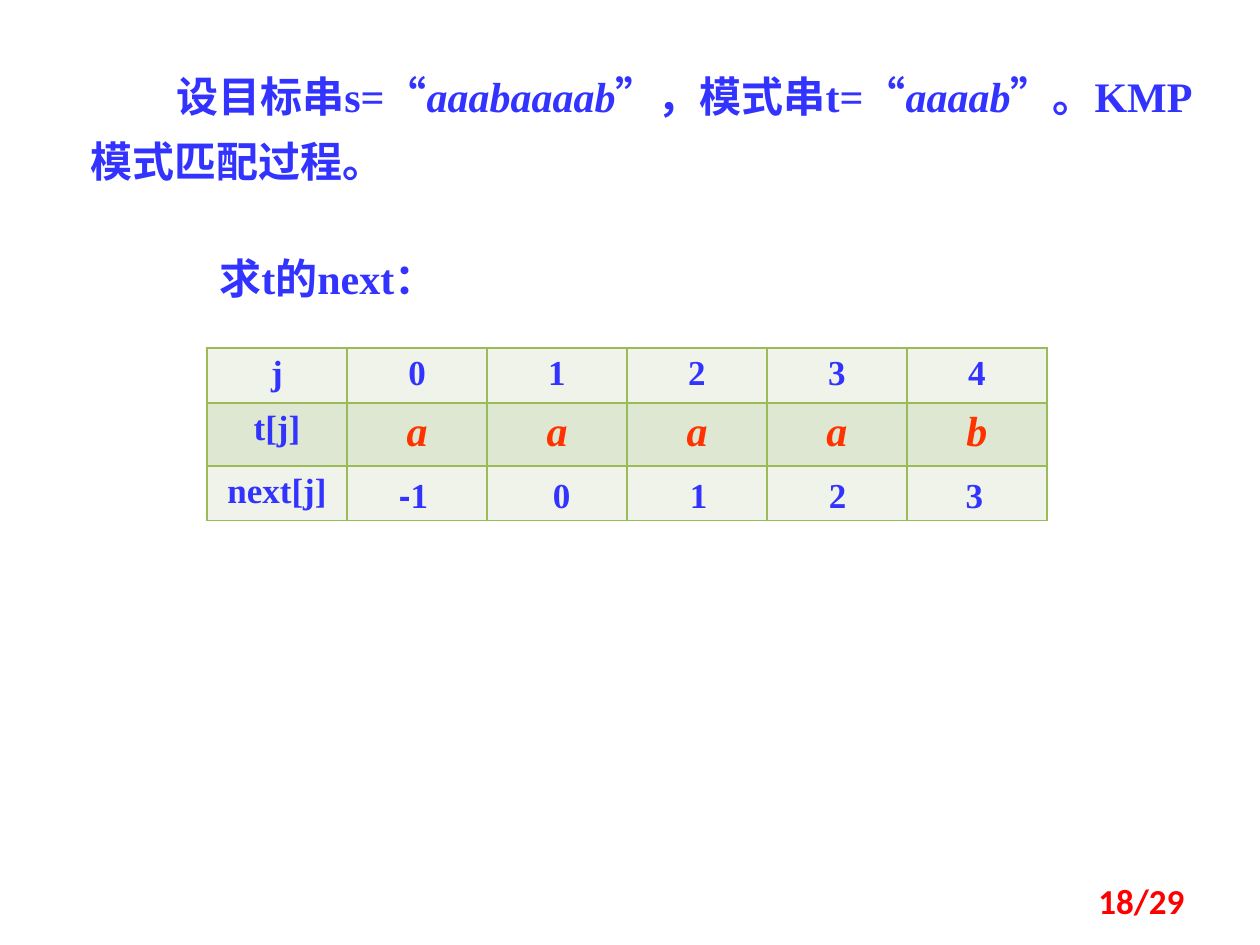
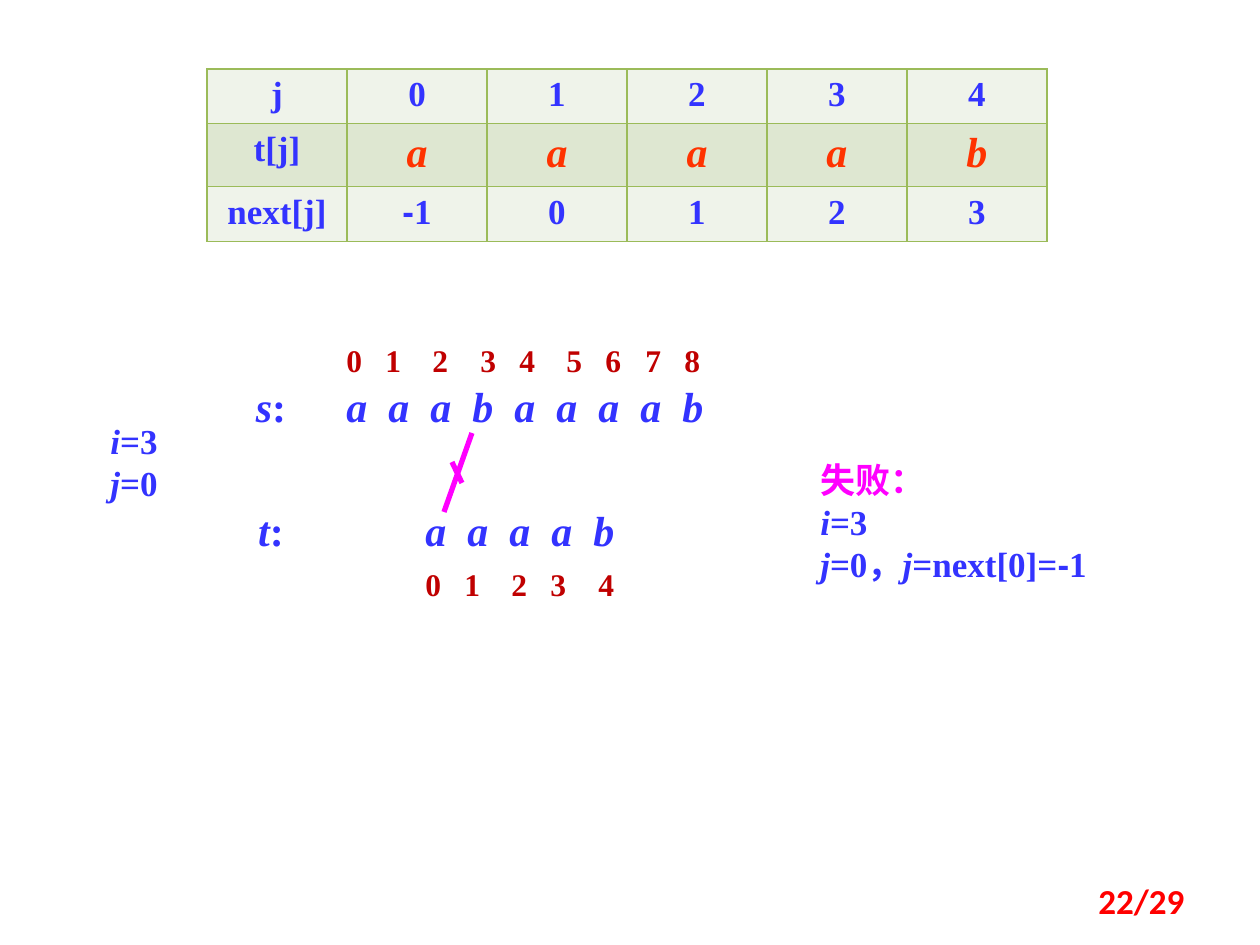
from itertools import groupby

from lxml.etree import SubElement
from pptx import Presentation
from pptx.dml.color import RGBColor
from pptx.enum.lang import MSO_LANGUAGE_ID
from pptx.enum.shapes import MSO_CONNECTOR
from pptx.enum.text import MSO_ANCHOR, PP_ALIGN
from pptx.oxml.ns import qn
from pptx.util import Emu, Pt

COLORS = {
    "blue": "3333FF", "red": "FF3300", "index": "C00000", "fail": "FF00FF",
    "page": "FF0000", "edge": "9BBB59", "light": "EFF3EA", "dark": "DEE7D1",
}
SERIF, SANS, HAN, FOOT = "Times New Roman", "Arial", "Noto Sans CJK SC", "Calibri"
LEFT, CENTER, RIGHT = PP_ALIGN.LEFT, PP_ALIGN.CENTER, PP_ALIGN.RIGHT
PAD = 13
COL = 140
PITCH = 42
PATTERN = "aaaab"
NEXT = ["-1", "0", "1", "2", "3"]


def px(count):
    return Emu(round(count * 914400 / 126))


def rgb(name):
    return RGBColor.from_string(COLORS[name])


class Deck:
    def __init__(self):
        self.prs = Presentation()
        self.prs.slide_width, self.prs.slide_height = px(1260), px(945)
        self.slide = None

    def page(self, label):
        self.slide = self.prs.slides.add_slide(self.prs.slide_layouts[6])
        frame = self.text(903, 876, 294, 50, label, 20, "page", RIGHT, font=FOOT)
        frame.vertical_anchor = MSO_ANCHOR.MIDDLE

    def style(self, par, text, size, color, align=LEFT, font=SERIF):
        """Parts between asterisks are italic; minus signs are sans serif."""
        par.alignment = align
        for place, part in enumerate(text.split("*")):
            for minus, chars in groupby(part, lambda char: char == "-"):
                run = par.add_run()
                run.text = "".join(chars)
                face = run.font
                face.size, face.bold, face.italic = Pt(size), True, place % 2 == 1
                face.name = SANS if minus else font
                face.color.rgb = rgb(color)
                face.language_id = MSO_LANGUAGE_ID.SIMPLIFIED_CHINESE
                latin = run._r.rPr.find(qn("a:latin"))
                east = latin.makeelement(qn("a:ea"), {"typeface": HAN})
                latin.addnext(east)

    def text(self, x, y, w, h, text, size=24, color="blue", align=LEFT,
             font=SERIF, inset=True):
        box = self.slide.shapes.add_textbox(px(x), px(y), px(w), px(h))
        frame = box.text_frame
        frame.word_wrap = True
        if not inset:
            frame.margin_left = frame.margin_right = 0
            frame.margin_top = frame.margin_bottom = 0
        for place, line in enumerate(text.split("\n")):
            par = frame.add_paragraph() if place else frame.paragraphs[0]
            self.style(par, line, size, color, align, font)
        return frame

    def row(self, x, y, w, marks, stops, size, color):
        """One line of marks, each set at its own tab stop."""
        frame = self.text(x, y, w, 60, "", size, color)
        par = frame.paragraphs[0]
        tabs = SubElement(par._p.get_or_add_pPr(), qn("a:tabLst"))
        for stop in stops[1:]:
            SubElement(tabs, qn("a:tab"), pos=str(px(stop)), algn="l")
        line = "\t".join(marks)
        self.style(par, f"*{line}*" if color == "blue" else line, size, color)

    def string(self, x, y, name, marks, stops, top):
        """A named string with its letters and its index digits."""
        self.text(227, y, 88, 63, f"*{name}*:", align=CENTER)
        width = len(marks) * PITCH + 60
        steps = [PITCH * place for place in range(len(marks))]
        self.row(x, y, width, marks, steps, 24, "blue")
        digits = [str(place) for place in range(len(marks))]
        self.row(x, top, width, digits, stops, 18, "index")

    def table(self, y, heights, values):
        rows = [["j", *"01234"], ["t[j]", *PATTERN], ["next[j]", *values]]
        grid = self.slide.shapes.add_table(
            len(rows), 6, px(207), px(y), px(6 * COL), px(sum(heights))).table
        grid.first_row = grid.horz_banding = False
        for col in grid.columns:
            col.width = px(COL)
        for r, (line, high) in enumerate(zip(rows, heights)):
            grid.rows[r].height = px(high)
            for c, word in enumerate(line):
                cell = grid.cell(r, c)
                self.frame(cell, "dark" if r == 1 else "light")
                par = cell.text_frame.paragraphs[0]
                if r == 1 and c:
                    self.style(par, f"*{word}*", 24, "red", CENTER)
                else:
                    self.style(par, word, 20, "blue", CENTER)

    def frame(self, cell, fill):
        props = cell._tc.get_or_add_tcPr()
        for side in ("lnL", "lnR", "lnT", "lnB"):
            edge = SubElement(props, qn(f"a:{side}"), w=str(Pt(1)))
            paint = SubElement(edge, qn("a:solidFill"))
            SubElement(paint, qn("a:srgbClr"), val=COLORS["edge"])
        cell.fill.solid()
        cell.fill.fore_color.rgb = rgb(fill)

    def line(self, *ends):
        link = self.slide.shapes.add_connector(
            MSO_CONNECTOR.STRAIGHT, *[px(end) for end in ends])
        link.line.color.rgb = rgb("fail")
        link.line.width = Pt(3)
        SubElement(link._element.spPr, qn("a:effectLst"))


def main():
    deck = Deck()

    # Problem and its next table
    deck.page("18/29")
    task = deck.text(78, 49, 1134, 145, "设目标串s=“*aaabaaaab*”，模式串t=“*aaaab*”。"
                     "KMP模式匹配过程。")
    par = task.paragraphs[0]
    par.line_spacing = 1.3
    par._p.get_or_add_pPr().set("indent", str(px(86)))
    deck.table(348, [55, 63, 54], [""] * 5)
    for x, value in zip([374, 522, 659, 798, 935], NEXT):
        deck.text(x, 473, 79, 43, value, 20, align=CENTER, inset=False)
    deck.text(207, 246, 295, 63, "求t的next：")

    # Matching step that fails
    deck.page("22/29")
    deck.table(69, [52, 59, 52], NEXT)
    deck.string(347 - PAD, 374, "s", "aaabaaaab",
                [0, 39, 86, 134, 173, 220, 259, 299, 338], 335)
    deck.string(426 - PAD, 498, "t", PATTERN, [0, 39, 86, 125, 173], 559)
    deck.text(98, 413, 98, 97, "*i*=3\n*j*=0", 20)

    # Outcome
    note = deck.text(808, 452, 315, 140, "失败：\n*i*=3\n*j*=0，*j*=next[0]=-1", 20)
    for run in note.paragraphs[0].runs:
        run.font.name = HAN
        run.font.color.rgb = rgb("fail")

    # Mismatch mark
    deck.line(472, 433, 444, 512)
    deck.line(452, 462, 462, 483)

    deck.prs.save("out.pptx")


if __name__ == "__main__":
    main()
